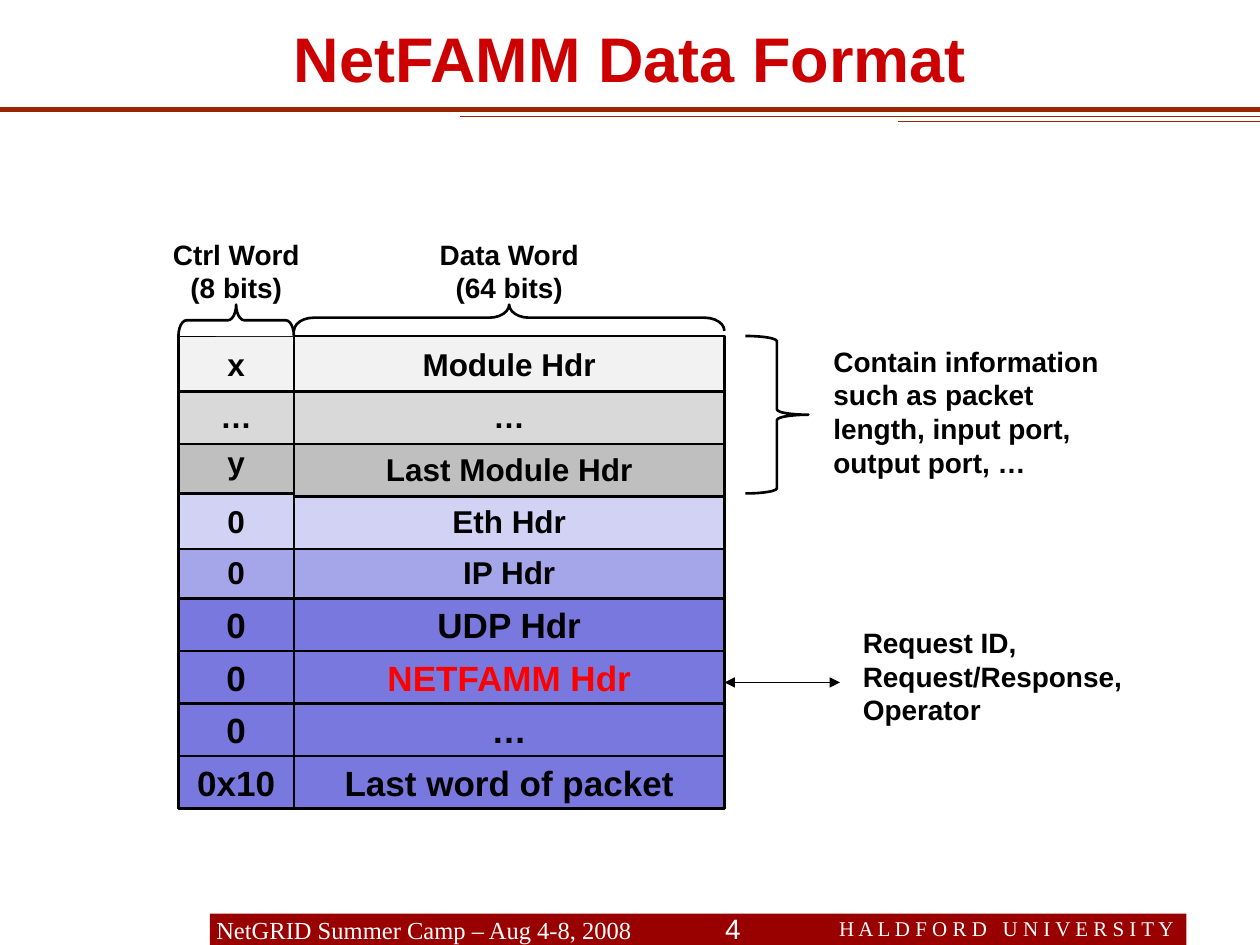
"""Build a slide that explains a packet data format as a stack of words."""
from dataclasses import dataclass

from lxml.etree import SubElement
from pptx import Presentation
from pptx.dml.color import RGBColor
from pptx.enum.shapes import MSO_CONNECTOR as Connector, MSO_SHAPE as Shape
from pptx.enum.text import MSO_ANCHOR as Anchor, PP_ALIGN as Align
from pptx.oxml.ns import qn
from pptx.util import Inches, Pt


@dataclass(frozen=True)
class Theme:
    """Colours, fonts and type sizes of the slide."""
    black: str = "000000"
    white: str = "FFFFFF"
    title: str = "CC0000"
    rule: str = "982400"
    band: str = "990000"
    highlight: str = "FF0000"
    packet: str = "7878DE"
    sans: str = "Arial"
    serif: str = "Times New Roman"
    title_size: int = 36
    payload_size: int = 20
    header_size: int = 18
    label_size: int = 16
    footer_size: int = 14
    small_size: int = 12


@dataclass(frozen=True)
class Box:
    """A rectangle in columns and rows of a twelfth of an inch."""
    left: float
    top: float
    width: float
    height: float

    def inside(self, left, top, width, height):
        """Return a box offset from this box's corner."""
        return Box(self.left + left, self.top + top, width, height)

    def lengths(self):
        """Return left, top, width and height as slide lengths."""
        return [grid(value) for value in (self.left, self.top, self.width, self.height)]


THEME = Theme()
COLUMNS, ROWS = 120, 90
CTRL_WIDTH, ROW_HEIGHT, OVERLAP = 11, 5, 0.3
PACKET_ROWS = [
    ("x", "Module Hdr", "F2F2F2"),
    ("…", "…", "D9D9D9"),
    ("y", "Last Module Hdr", "BFBFBF"),
    ("0", "Eth Hdr", "D2D2F4"),
    ("0", "IP Hdr", "A5A5E9"),
    ("0", "UDP Hdr", THEME.packet),
    ("0", "NETFAMM Hdr", THEME.packet),
    ("0", "…", THEME.packet),
    ("0x10", "Last word of packet", THEME.packet),
]


def grid(count):
    """Turn grid units into a slide length."""
    return Inches(count / 12)


def colour(value):
    """Turn a hex string into a colour."""
    return RGBColor.from_string(value)


def assign(target, values):
    """Set each attribute named in a dict of format values."""
    for name, value in values.items():
        setattr(target, name, value)


def write(shape, lines, size, color=THEME.black, font=THEME.sans, bold=True,
          align=Align.LEFT, anchor=Anchor.TOP, margins=(0.1, 0.05)):
    """Write one paragraph for each line into a shape."""
    side, edge = (Inches(margin) for margin in margins)
    frame = shape.text_frame
    assign(frame, {"word_wrap": True, "vertical_anchor": anchor,
                   "margin_left": side, "margin_right": side,
                   "margin_top": edge, "margin_bottom": edge})
    frame.text = "\n".join(lines)
    for paragraph in frame.paragraphs:
        paragraph.alignment = align
        for run in paragraph.runs:
            assign(run.font, {"name": font, "size": Pt(size), "bold": bold})
            run.font.color.rgb = colour(color)


def add_label(slide, box, lines, size=THEME.label_size, **formats):
    """Add a text box."""
    write(slide.shapes.add_textbox(*box.lengths()), lines, size, **formats)


def add_block(slide, kind, box, fill, line=None):
    """Add a flat preset shape."""
    shape = slide.shapes.add_shape(kind, *box.lengths())
    shape.shadow.inherit = False
    shape.fill.solid()
    shape.fill.fore_color.rgb = colour(fill)
    if line:
        shape.line.color.rgb = colour(line)
        shape.line.width = Pt(1.5)
    else:
        shape.line.fill.background()
    return shape


def add_line(slide, start, end, row, color, width, arrows=False):
    """Add a level line, with arrowheads on both ends when asked."""
    line = slide.shapes.add_connector(
        Connector.STRAIGHT, grid(start), grid(row), grid(end), grid(row))
    line.line.color.rgb = colour(color)
    line.line.width = Pt(width)
    properties = line._element.spPr
    if arrows:
        for end_name in ("a:headEnd", "a:tailEnd"):
            SubElement(properties.find(qn("a:ln")), qn(end_name), type="triangle")
    SubElement(properties, qn("a:effectLst"))


def add_brace(slide, box, curve, upward=False):
    """Add a brace that fills the box and points right or up."""
    if upward:
        shift = (box.width - box.height) / 2
        box = box.inside(shift, -shift, box.height, box.width)
    brace = add_block(slide, Shape.RIGHT_BRACE, box, THEME.white, THEME.black)
    brace.adjustments[0] = curve
    brace.rotation = 270 if upward else 0


def add_header(slide, box):
    """Place the title and the stepped rules below it."""
    title = slide.shapes.title
    assign(title, dict(zip(("left", "top", "width", "height"), box.lengths())))
    write(title, ["NetFAMM Data Format"], THEME.title_size, THEME.title,
          align=Align.CENTER, anchor=Anchor.MIDDLE, margins=(0.3, 0.05))
    for share, row, width in ((0, 10.4, 3), (0.365, 11.1, 0.75), (0.713, 11.6, 0.5)):
        add_line(slide, box.left + share * box.width, box.left + box.width,
                 box.top + row, THEME.rule, width)


def add_footer(slide, box):
    """Place the band with the event, page number and school."""
    band = add_block(slide, Shape.RECTANGLE, box, THEME.band)
    serif = {"color": THEME.white, "font": THEME.serif, "bold": False}
    write(band, ["NetGRID Summer Camp – Aug 4-8, 2008"], THEME.footer_size,
          anchor=Anchor.MIDDLE, margins=(0.05, 0), **serif)
    add_label(slide, box.inside(43.8, -0.6, 12, 4), ["4"], color=THEME.white,
              bold=False, align=Align.CENTER, anchor=Anchor.MIDDLE, margins=(0, 0))
    add_label(slide, box.inside(50, -0.4, 45.4, 3.6),
              ["H A L D F O R D   U N I V E R S I T Y"], THEME.small_size,
              align=Align.RIGHT, margins=(0.3, 0.05), **serif)


def add_packet(slide, box):
    """Stack the control and data words from the bottom row up."""
    data_width = box.width - CTRL_WIDTH
    for index, (ctrl, data, fill) in reversed(list(enumerate(PACKET_ROWS))):
        is_header = index < 5
        height = ROW_HEIGHT + (OVERLAP if index < 4 else 0)
        top = index * ROW_HEIGHT
        ctrl_box = box.inside(0, top, CTRL_WIDTH, height)
        if ctrl == "y":
            ctrl_box = box.inside(0, top - 1, CTRL_WIDTH, ROW_HEIGHT + 1)
        data_box = box.inside(CTRL_WIDTH, top, data_width, height)
        for text, cell in ((ctrl, ctrl_box), (data, data_box)):
            shape = add_block(slide, Shape.RECTANGLE, cell, fill, THEME.black)
            write(shape, [text],
                  THEME.header_size if is_header else THEME.payload_size,
                  THEME.highlight if text.startswith("NETFAMM") else THEME.black,
                  align=Align.CENTER, anchor=Anchor.MIDDLE, margins=(0, 0.05))


def add_annotations(slide, box):
    """Place the braces, arrow and labels around the packet."""
    add_brace(slide, box.inside(0, -3, CTRL_WIDTH, 3), 0.26, upward=True)
    add_brace(slide, box.inside(CTRL_WIDTH, -3, box.width - CTRL_WIDTH, 2.5), 0.76, upward=True)
    add_label(slide, box.inside(-5, -10, 21, 7.7), ["Ctrl Word", "(8 bits)"], align=Align.CENTER)
    add_label(slide, box.inside(17, -10, 29, 7.7), ["Data Word", "(64 bits)"], align=Align.CENTER)
    add_brace(slide, box.inside(box.width + 2, 0, 6, 3 * ROW_HEIGHT), 0.083)
    add_label(slide, box.inside(box.width + 9.2, 0.2, 29, 14),
              ["Contain information such as packet length, input port, output port, …"])
    right = box.left + box.width
    add_line(slide, right, right + 11, box.top + 33, THEME.black, 0.75, arrows=True)
    add_label(slide, box.inside(box.width + 12, 27, 29, 10.8),
              ["Request ID,", "Request/Response,", "Operator"])


def main():
    """Build and save the presentation."""
    presentation = Presentation()
    assign(presentation, {"slide_width": grid(COLUMNS), "slide_height": grid(ROWS)})
    slide = presentation.slides.add_slide(presentation.slide_layouts[5])
    packet_box = Box(17, 32, 52, len(PACKET_ROWS) * ROW_HEIGHT)
    add_footer(slide, Box(20, 87, 93, 3))
    add_header(slide, Box(0, 0, COLUMNS, 11))
    add_packet(slide, packet_box)
    add_annotations(slide, packet_box)
    presentation.save("out.pptx")


if __name__ == "__main__":
    main()
